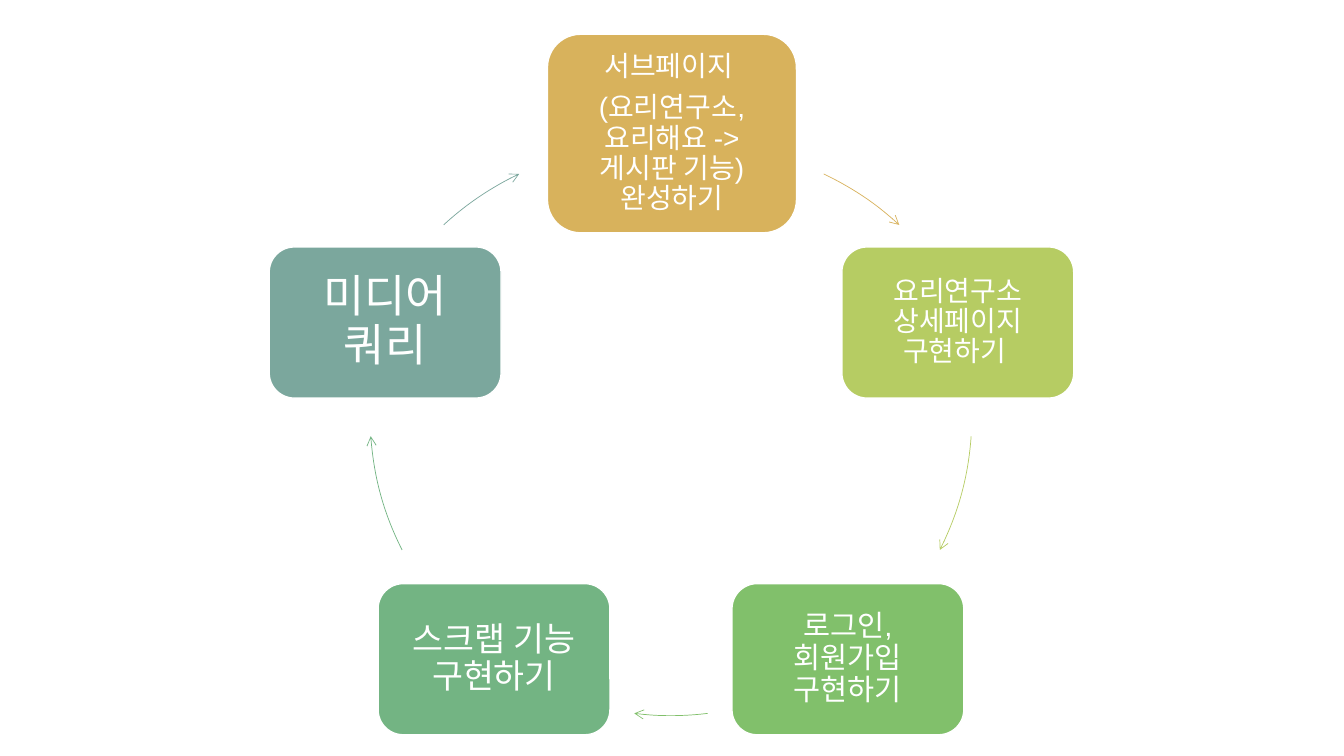
import pptx
import pptx.dml.color
import pptx.enum.shapes
import pptx.enum.text
import pptx.oxml
import pptx.oxml.ns
import pptx.util
from pptx.util import Inches

SHAPES = pptx.enum.shapes.MSO_SHAPE
RING_DIAMETER = 5.97
STEP_SIZE = (2.3, 1.5)

# Colour, position, size, text inset, font size, paragraphs
STEPS = [
    ("D8B25C", (5.43, 0.34), (2.47, 1.97), 0.08, 20,
     ["서브페이지 ", "(요리연구소, 요리해요 -> 게시판 기능) 완성하기"]),
    ("B6CC63", (8.35, 2.45), STEP_SIZE, 0.08, 20, ["요리연구소 상세페이지 구현하기 "]),
    ("81C06B", (7.26, 5.79), STEP_SIZE, 0.09, 21, ["로그인, 회원가입 구현하기"]),
    ("73B483", (3.75, 5.79), STEP_SIZE, 0.1, 24, ["스크랩 기능 구현하기"]),
    ("7BA79D", (2.67, 2.45), STEP_SIZE, 0.13, 32, ["미디어 쿼리"]),
]

# Ring position, start and end angle in degrees clockwise from the right
ARROWS = [
    ((3.91, 1.44), 295.3, 312.7),
    ((3.67, 1.13), 4.1, 26.7),
    ((3.67, 1.13), 83, 97),
    ((3.67, 1.13), 153.3, 175.9),
    ((3.44, 1.44), 227.3, 244.7),
]


def colour(value):
    return pptx.dml.color.RGBColor.from_string(value)


def write_text(shape, paragraphs, size, inset, font="Arial", fill="FFFFFF"):
    frame = shape.text_frame
    frame.word_wrap = True
    frame.vertical_anchor = pptx.enum.text.MSO_ANCHOR.MIDDLE
    frame.margin_left = frame.margin_right = Inches(inset)
    frame.margin_top = frame.margin_bottom = Inches(inset)
    for index, text in enumerate(paragraphs):
        paragraph = frame.add_paragraph() if index else frame.paragraphs[0]
        paragraph.alignment = pptx.enum.text.PP_ALIGN.CENTER
        paragraph.line_spacing = 0.9
        paragraph.space_after = pptx.util.Pt(round(0.4 * size))
        run = paragraph.add_run()
        run.text = text
        run.font.name = font
        run.font.size = pptx.util.Pt(size)
        run.font.color.rgb = colour(fill)


def add_shape(slide, preset, position, size, line, line_width):
    shape = slide.shapes.add_shape(
        preset, *(Inches(length) for length in position + size))
    shape.shadow.inherit = False
    shape.line.color.rgb = colour(line)
    shape.line.width = pptx.util.Pt(line_width)
    return shape


def add_step(slide, fill, position, size, inset, font_size, paragraphs):
    step = add_shape(slide, SHAPES.ROUNDED_RECTANGLE, position, size, "FFFFFF", 1)
    step.fill.solid()
    step.fill.fore_color.rgb = colour(fill)
    write_text(step, paragraphs, font_size, inset)


def add_arc_arrow(slide, line, position, start, end):
    arc = add_shape(slide, SHAPES.ARC, position,
                    (RING_DIAMETER, RING_DIAMETER), line, 0.5)
    arc.fill.background()
    # Angles are stored in 60000ths of a degree, adjustments in 100000ths
    arc.adjustments[0] = start * 0.6
    arc.adjustments[1] = end * 0.6
    arrowhead = pptx.oxml.parse_xml(
        f'<a:tailEnd {pptx.oxml.ns.nsdecls("a")} type="arrow"/>')
    arc.line._get_or_add_ln().append(arrowhead)


def main():
    presentation = pptx.Presentation()
    presentation.slide_width = Inches(13.33)
    presentation.slide_height = Inches(7.5)
    slide = presentation.slides.add_slide(presentation.slide_layouts[6])
    for step, arrow in zip(STEPS, ARROWS):
        add_step(slide, *step)
        add_arc_arrow(slide, step[0], *arrow)
    presentation.save("out.pptx")


if __name__ == "__main__":
    main()
